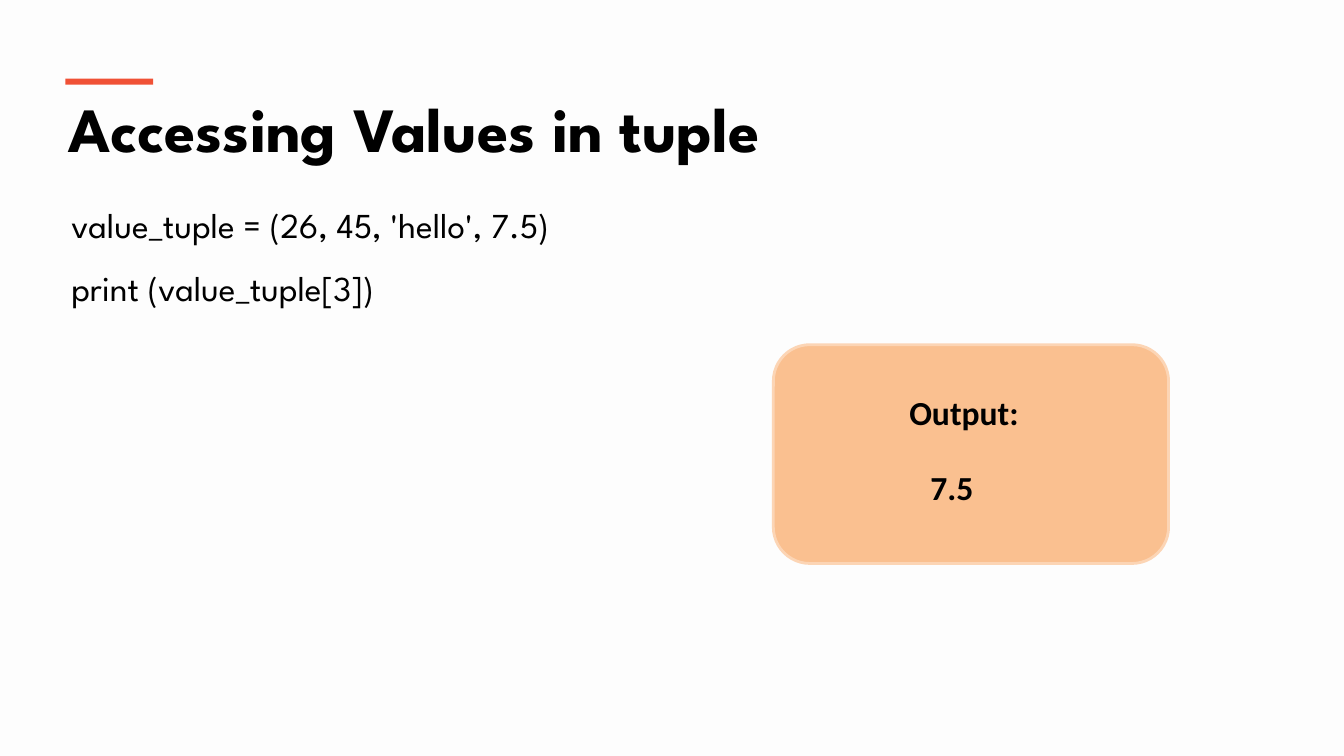
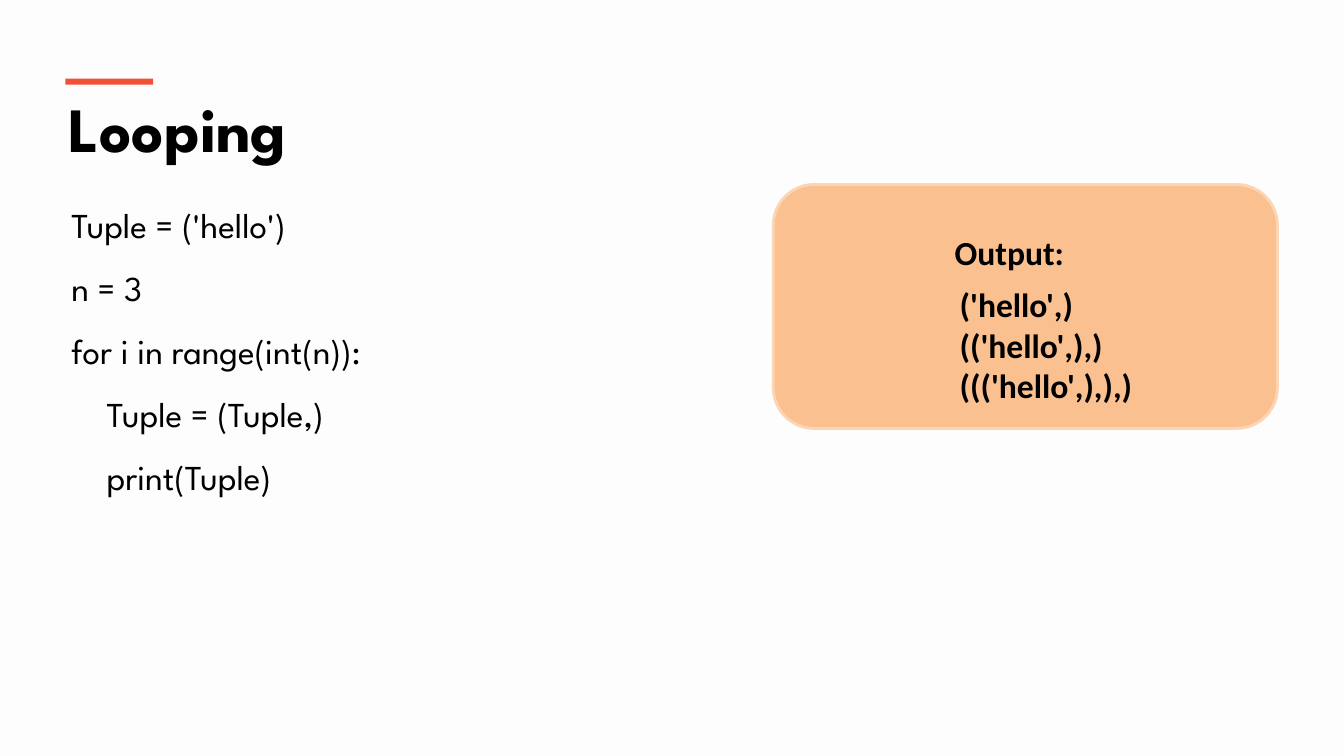
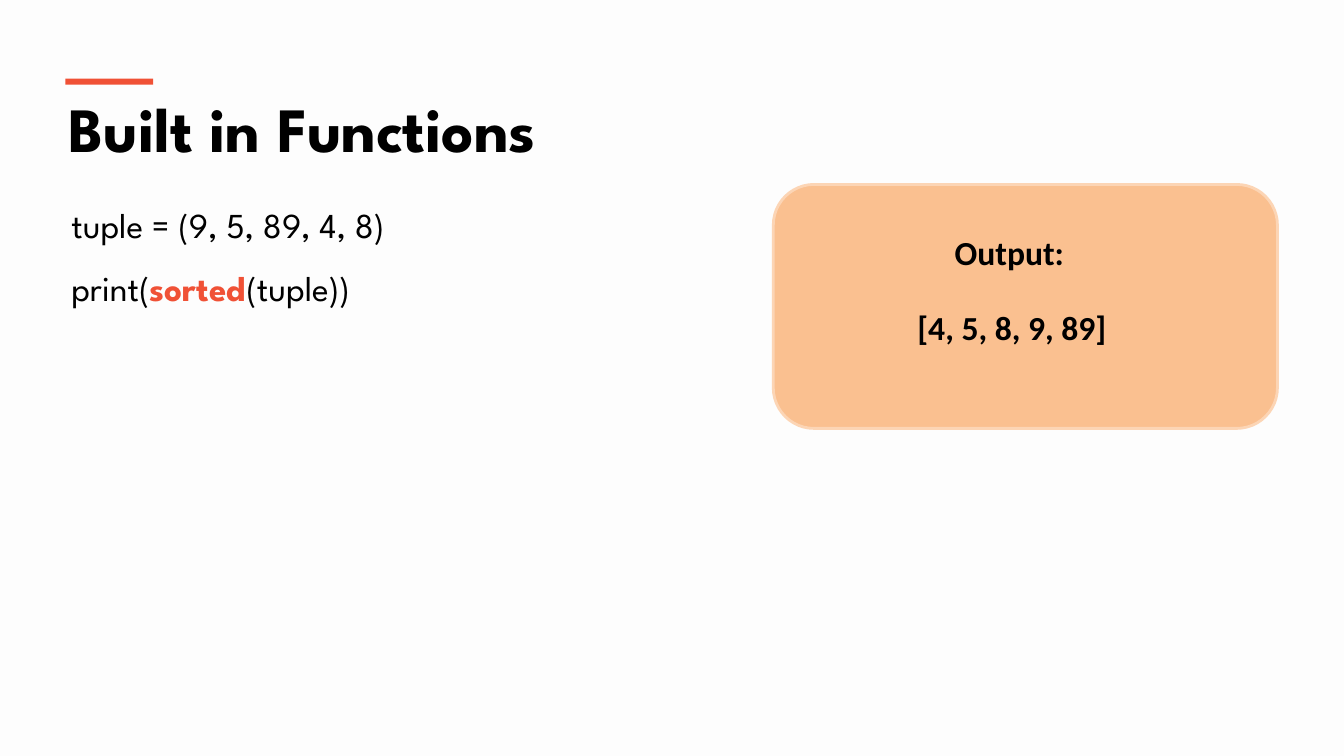
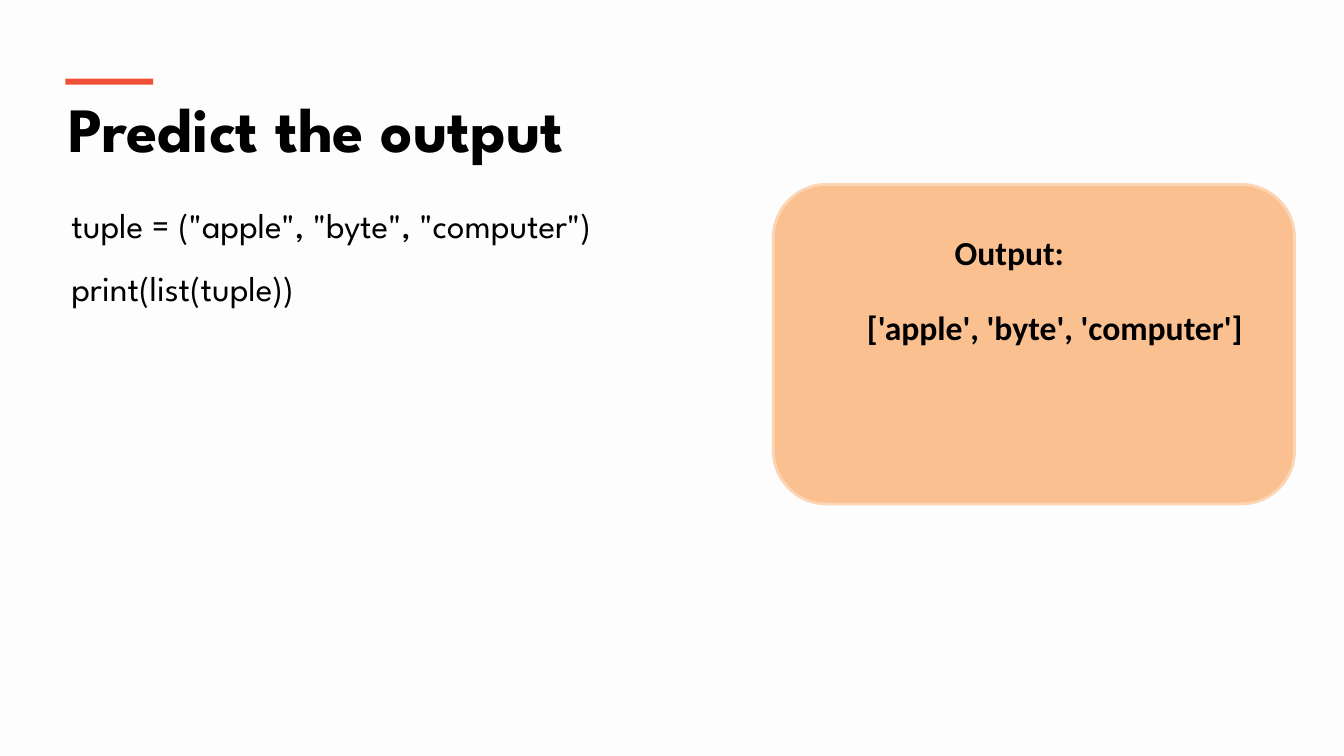
from dataclasses import dataclass

from pptx import Presentation
from pptx.dml.color import RGBColor
from pptx.enum.shapes import MSO_SHAPE
from pptx.enum.text import MSO_ANCHOR, MSO_AUTO_SIZE, PP_ALIGN
from pptx.util import Inches, Pt

RECT, ROUND = MSO_SHAPE.RECTANGLE, MSO_SHAPE.ROUNDED_RECTANGLE
TOP, LEFT = MSO_ANCHOR.TOP, PP_ALIGN.LEFT
FIXED, GROW = MSO_AUTO_SIZE.NONE, MSO_AUTO_SIZE.SHAPE_TO_FIT_TEXT
TITLE_ONLY = 5


@dataclass(frozen=True)
class Theme:
    back: str = "FDFDFD"
    ink: str = "000000"
    accent: str = "F05136"
    card: str = "FAC090"
    edge: str = "FCD5B5"
    head: str = "League Spartan"
    body: str = "Calibri"
    title: int = 45
    code: int = 25
    result: int = 24


THEME = Theme()
TITLE_AT = (0.58, 0.84, 12.18, 0.86)
BAR_AT = (0.65, 0.78, 0.87, 0.06)
CODE_AT = (0.61, 1.76, 12.14)
INDENT = 0.35
LABEL = "Output:"
LABEL_SIZE = (1.3, 0.5)
LABEL_DROP = 0.42

# A code line is (level, runs); a run is (text, is it stressed).
# label is the left edge of the "Output:" label.
SLIDES = [
    dict(title="Accessing Values in tuple",
         code=[(0, [("value_tuple = (26, 45, 'hello', 7.5)", False)]),
               (0, [("print (value_tuple[3])", False)])],
         code_high=1.31, card=(7.67, 3.42, 3.92, 2.17), label=8.92,
         result=["7.5"], result_at=(9.13, 4.58, 0.63, 0.5)),
    dict(title="Looping",
         code=[(0, [("Tuple = ('hello')", False)]),
               (0, [("n = 3", False)]),
               (0, [("for i in range(int(n)):", False)]),
               (1, [("Tuple = (Tuple,)", False)]),
               (1, [("print(Tuple)", False)])],
         code_high=3.2, card=(7.67, 1.83, 5, 2.42), label=9.37,
         result=["('hello',)", "(('hello',),)", "((('hello',),),)"],
         result_at=(9.42, 2.77, 1.95, 1.31)),
    dict(title="Built in Functions",
         code=[(0, [("tuple = (9, 5, 89, 4, 8)", False)]),
               (0, [("print(", False), ("sorted", True),
                    ("(tuple))", False)])],
         code_high=1.36, card=(7.67, 1.83, 5, 2.42), label=9.37,
         result=["[4, 5, 8, 9, 89]"], result_at=(9, 3, 2.09, 0.5)),
    dict(title="Predict the output",
         code=[(0, [('tuple = ("apple", "byte", "computer")', False)]),
               (0, [("print(list(tuple))", False)])],
         code_high=1.31, card=(7.67, 1.83, 5.17, 3.17), label=9.37,
         result=["['apple', 'byte', 'computer']"],
         result_at=(8.5, 3, 3.98, 0.5)),
]


def rgb(code):
    return RGBColor.from_string(code)


def inches(at):
    return [Inches(v) for v in at]


def add_run(para, text, font, size, color=THEME.ink, bold=False):
    run = para.add_run()
    run.text = text
    run.font.name, run.font.size, run.font.bold = font, Pt(size), bold
    run.font.color.rgb = rgb(color)


def add_paras(frame, count):
    """Return count paragraphs, the first being the one already there."""
    paras = [frame.paragraphs[0]]
    paras += [frame.add_paragraph() for _ in range(count - 1)]
    return paras


def add_box(slide, at, wrap):
    frame = slide.shapes.add_textbox(*inches(at)).text_frame
    frame.word_wrap, frame.auto_size = wrap, GROW
    return frame


def add_block(slide, kind, at, fill, edge=None):
    shape = slide.shapes.add_shape(kind, *inches(at))
    shape.shadow.inherit = False
    shape.fill.solid()
    shape.fill.fore_color.rgb = rgb(fill)
    if edge:
        shape.line.color.rgb = rgb(edge)
        shape.line.width = Pt(2)
    else:
        shape.line.fill.background()


def add_title(slide, text):
    title = slide.shapes.title
    title.left, title.top, title.width, title.height = inches(TITLE_AT)
    frame = title.text_frame
    frame.vertical_anchor, frame.auto_size = TOP, FIXED
    para = frame.paragraphs[0]
    para.alignment = LEFT
    add_run(para, text, THEME.head, THEME.title, bold=True)
    add_block(slide, RECT, BAR_AT, THEME.accent)


def add_code(slide, lines, high):
    frame = add_box(slide, (*CODE_AT, high), True)
    for para, (level, runs) in zip(add_paras(frame, len(lines)), lines):
        para.line_spacing = 1.5
        if level:
            props = para._p.get_or_add_pPr()
            props.set("marL", str(Inches(INDENT * level)))
        for text, stress in runs:
            color = THEME.accent if stress else THEME.ink
            add_run(para, text, THEME.head, THEME.code, color, stress)


def add_result(slide, lines, at):
    frame = add_box(slide, at, False)
    for para, text in zip(add_paras(frame, len(lines)), lines):
        add_run(para, text, THEME.body, THEME.result, bold=True)


def main():
    deck = Presentation()
    deck.slide_width, deck.slide_height = Inches(13.33), Inches(7.5)
    back = deck.slide_master.background.fill
    back.solid()
    back.fore_color.rgb = rgb(THEME.back)
    for item in SLIDES:
        slide = deck.slides.add_slide(deck.slide_layouts[TITLE_ONLY])
        add_title(slide, item["title"])
        add_code(slide, item["code"], item["code_high"])
        add_block(slide, ROUND, item["card"], THEME.card, THEME.edge)
        add_result(slide, item["result"], item["result_at"])
        top = item["card"][1] + LABEL_DROP
        add_result(slide, [LABEL], (item["label"], top, *LABEL_SIZE))
    deck.save("out.pptx")


if __name__ == "__main__":
    main()
